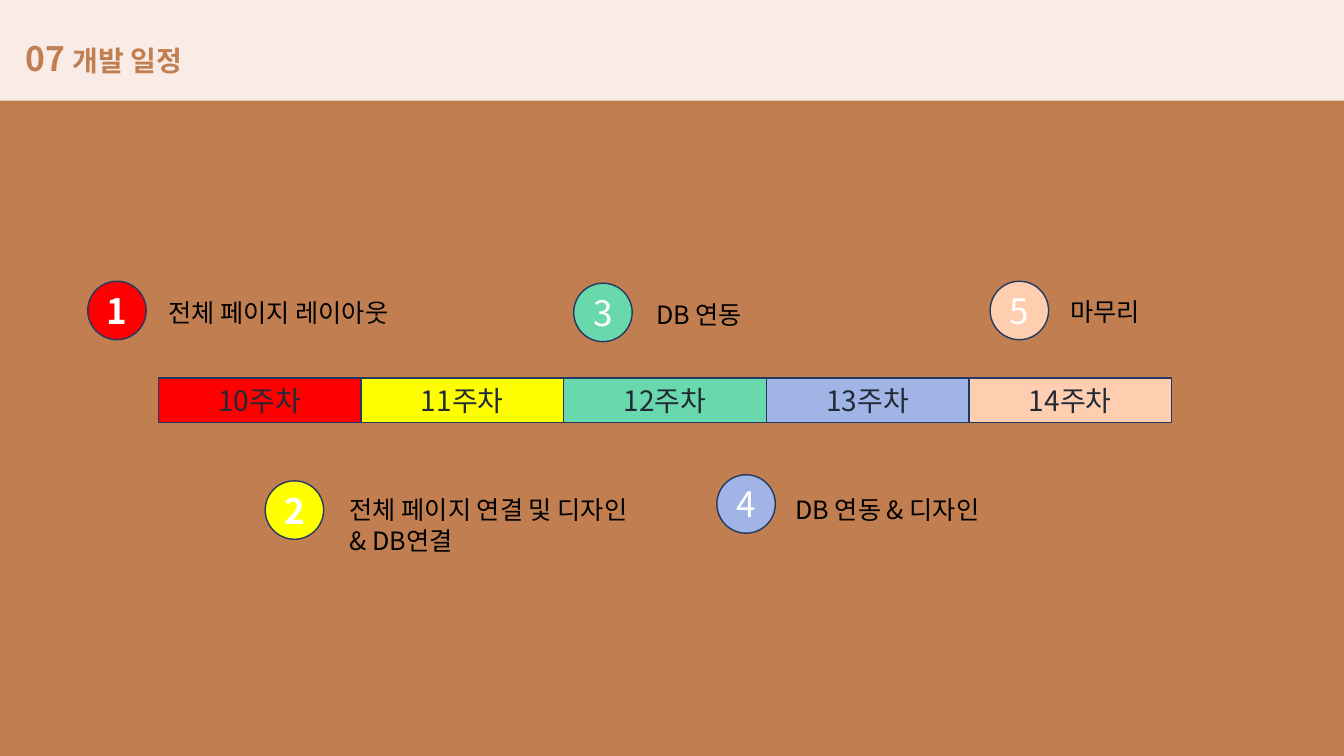
"""Builds the development schedule slide."""
from lxml.etree import SubElement
from pptx import Presentation
from pptx.dml.color import RGBColor
from pptx.enum.shapes import MSO_SHAPE as SHAPE
from pptx.enum.text import MSO_ANCHOR as ANCHOR, MSO_AUTO_SIZE as AUTO, PP_ALIGN as ALIGN
from pptx.oxml.ns import qn
from pptx.util import Inches, Pt

FONT = "Noto Sans CJK KR"
BROWN, CREAM, NAVY, DARK = "C07E51", "F9ECE6", "223961", "222A35"
TITLE = [("07 ", 24), ("개발 일정", 20)]
# week, colour, number bold, circle left and top, task, task left, top and width
STEPS = [
    ("10주차", "FF0000", True, (0.87, 2.79), "전체 페이지 레이아웃", (1.57, 2.9, 2.72)),
    ("11주차", "FFFF00", True, (2.63, 4.77), "전체 페이지 연결 및 디자인 & DB연결", (3.37, 4.86, 3.07)),
    ("12주차", "69D8AD", False, (5.69, 2.81), "DB 연동", (6.41, 2.92, 3.07)),
    ("13주차", "A0B4E6", False, (7.11, 4.71), "DB 연동 & 디자인", (7.79, 4.85, 3.07)),
    ("14주차", "FFCEB0", False, (9.82, 2.79), "마무리", (10.52, 2.89, 2.7)),
]
BAR_LEFT, BAR_TOP, BAR_W, BAR_H = 1.57, 3.75, 2.01, 0.44
CIRCLE = 0.58


def rgb(color):
    return RGBColor.from_string(color)


def add_run(p, text, size, color, bold=False):
    r = p.add_run()
    r.text = text
    r.font.name, r.font.size, r.font.bold = FONT, Pt(size), bold
    r.font.color.rgb = rgb(color)
    SubElement(r.font._element, qn("a:ea")).set("typeface", FONT)


def add_block(s, kind, box, fill, line=None):
    sp = s.shapes.add_shape(kind, *map(Inches, box))
    sp.shadow.inherit = False
    sp.fill.solid()
    sp.fill.fore_color.rgb = rgb(fill)
    if line:
        sp.line.color.rgb, sp.line.width = rgb(line), Pt(1)
    else:
        sp.line.fill.background()
    return sp


def add_label(sp, text, size, color, bold=False):
    tf = sp.text_frame
    tf.margin_left = tf.margin_right = tf.margin_top = tf.margin_bottom = 0
    tf.vertical_anchor = ANCHOR.MIDDLE
    p = tf.paragraphs[0]
    p.alignment = ALIGN.CENTER
    add_run(p, text, size, color, bold)


def add_title(s):
    title = s.shapes.title
    title.left, title.top, title.width, title.height = map(Inches, (0.15, 0.13, 4.99, 0.63))
    tf = title.text_frame
    tf.auto_size, tf.vertical_anchor = AUTO.NONE, ANCHOR.TOP
    p = tf.paragraphs[0]
    p.alignment, p.line_spacing = ALIGN.LEFT, 1.5
    for text, size in TITLE:
        add_run(p, text, size, BROWN, True)
    s.shapes._spTree.append(title._element)


def main():
    prs = Presentation()
    prs.slide_width, prs.slide_height = Inches(13.33), Inches(7.5)
    s = prs.slides.add_slide(prs.slide_layouts[5])
    s.background.fill.solid()
    s.background.fill.fore_color.rgb = rgb(BROWN)
    add_block(s, SHAPE.RECTANGLE, (0, 0, 13.33, 1), CREAM)
    add_title(s)

    for i, (week, color, *_) in enumerate(STEPS):
        box = BAR_LEFT + i * BAR_W, BAR_TOP, BAR_W, BAR_H
        add_label(add_block(s, SHAPE.RECTANGLE, box, color, NAVY), week, 20, DARK)

    for number, (_, color, bold, spot, task, (left, top, width)) in enumerate(STEPS, 1):
        circle = add_block(s, SHAPE.OVAL, (*spot, CIRCLE, CIRCLE), color, NAVY)
        add_label(circle, str(number), 25, "FFFFFF", bold)
        tf = s.shapes.add_textbox(*map(Inches, (left, top, width, 0.4))).text_frame
        tf.word_wrap, tf.auto_size = True, AUTO.SHAPE_TO_FIT_TEXT
        add_run(tf.paragraphs[0], task, 18, "000000")

    prs.save("out.pptx")


if __name__ == "__main__":
    main()
